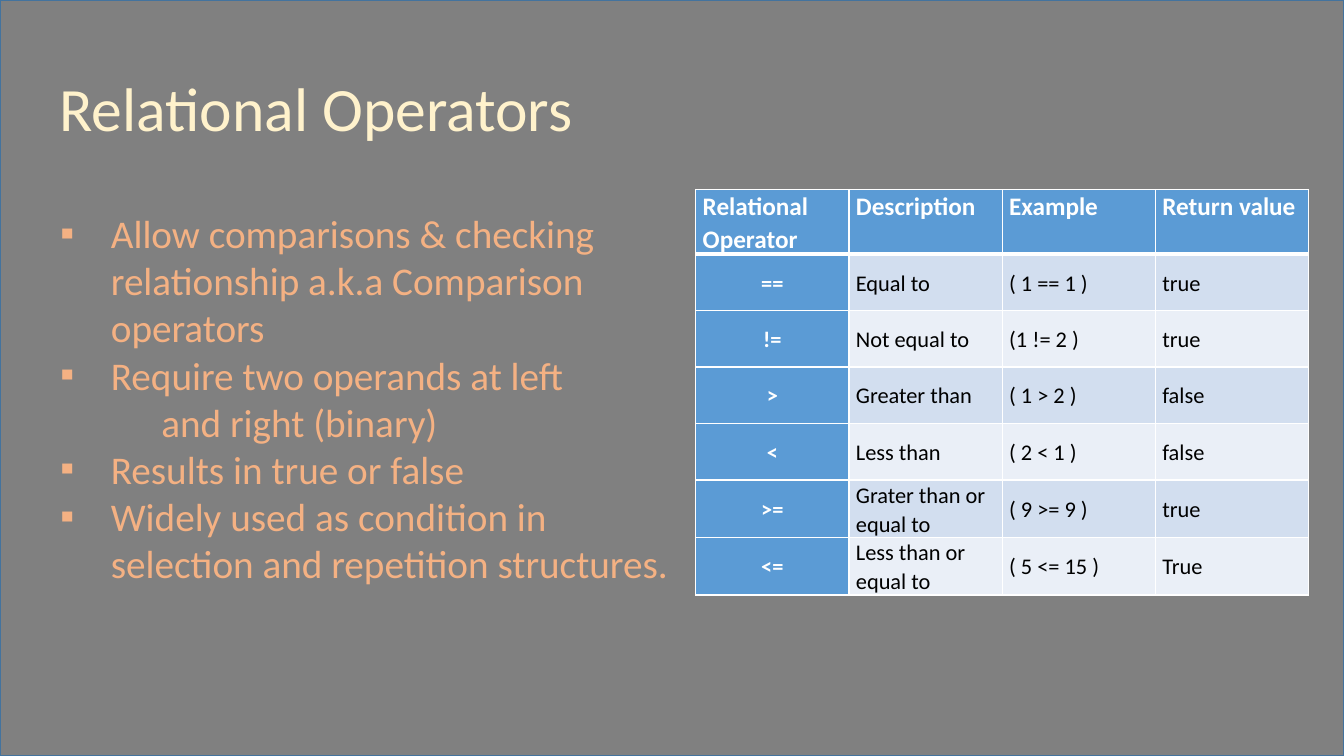
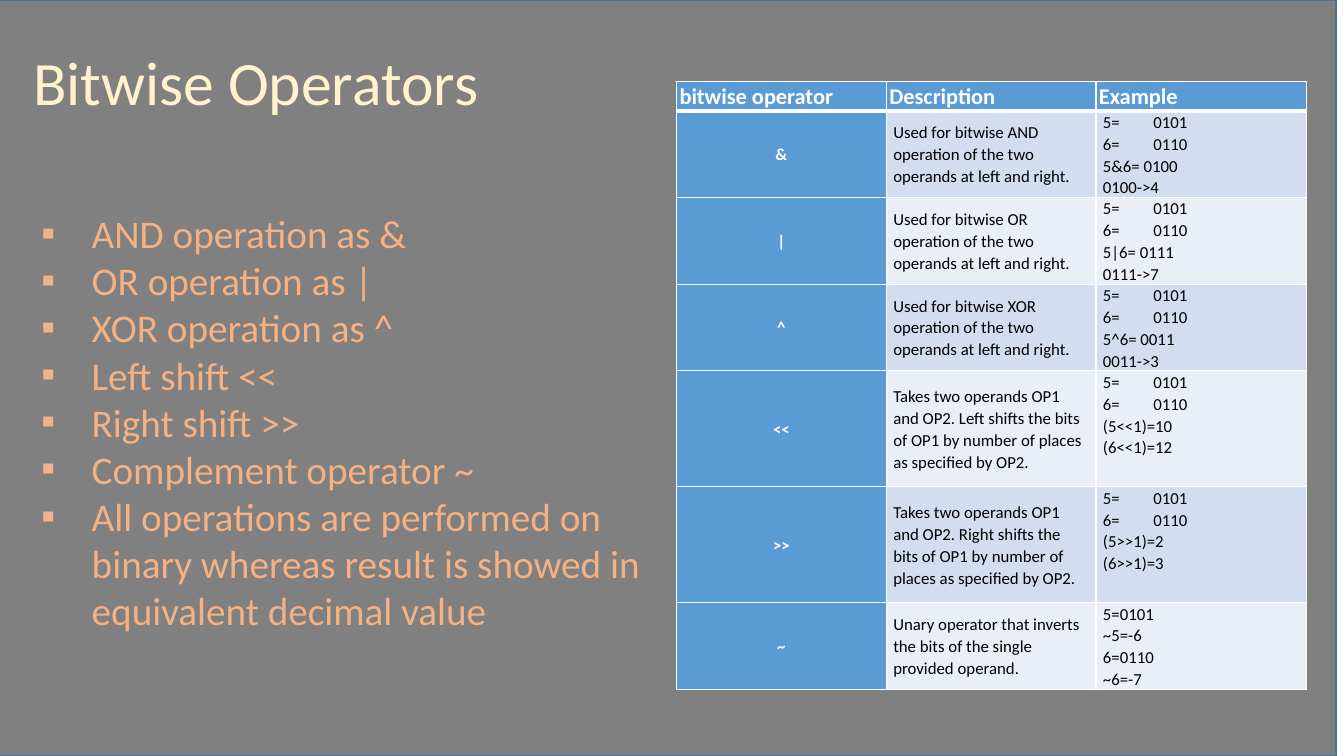
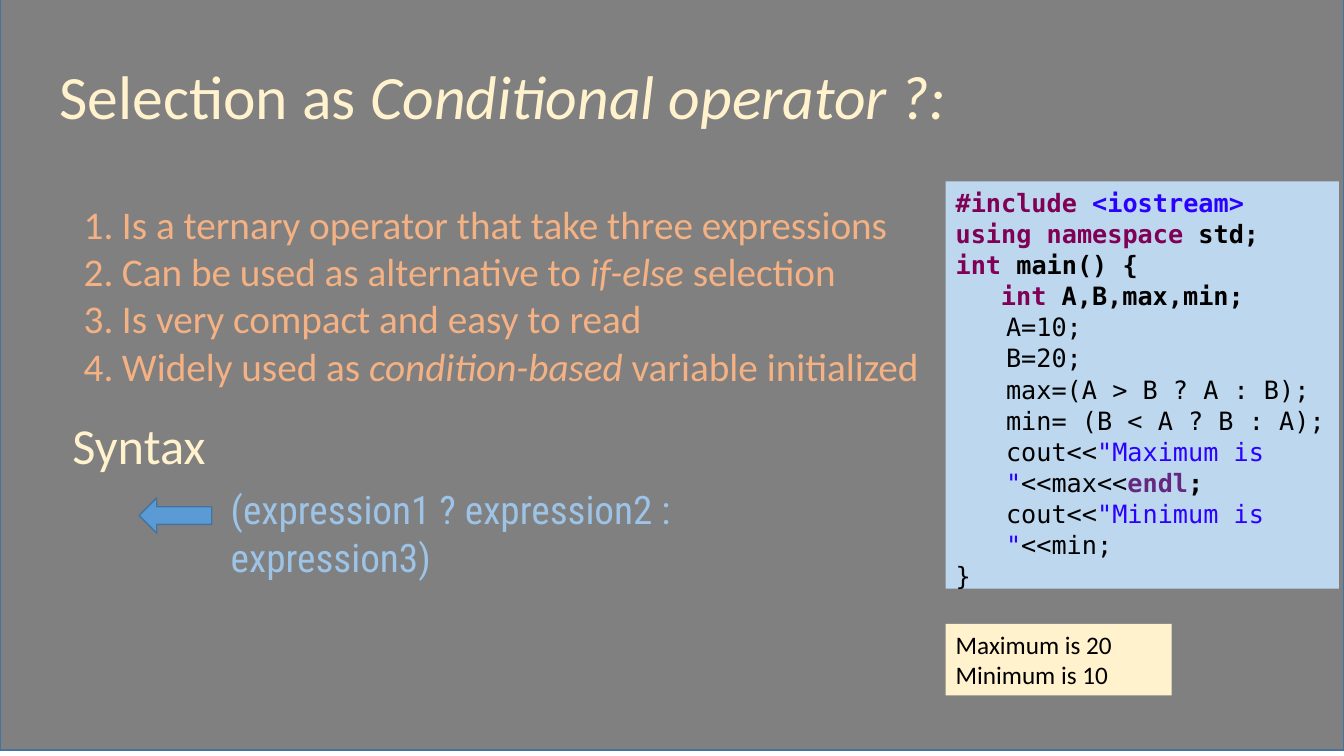
from dataclasses import dataclass
from typing import NamedTuple

from lxml import etree
from pptx import Presentation
from pptx.dml.color import RGBColor
from pptx.enum.shapes import MSO_SHAPE
from pptx.enum.text import MSO_ANCHOR, MSO_AUTO_SIZE, PP_ALIGN
from pptx.oxml.ns import qn
from pptx.util import Emu, Pt

RECT, ARROW = MSO_SHAPE.RECTANGLE, MSO_SHAPE.LEFT_ARROW
TOP, MIDDLE = MSO_ANCHOR.TOP, MSO_ANCHOR.MIDDLE
LEFT, CENTER = PP_ALIGN.LEFT, PP_ALIGN.CENTER
GROW = MSO_AUTO_SIZE.SHAPE_TO_FIT_TEXT

SCALE = 9144  # EMU in one px, 100 px to the inch
WIDE, HIGH = 1333, 750
SANS, MONO, NARROW = "Calibri", "DejaVu Sans Mono", "Roboto Condensed"
COLORS = {
    "back": "808080", "edge": "43739E", "cream": "FFF2CC", "peach": "F4B183",
    "sky": "9DC3E6", "pale": "BDD7EE", "blue": "5B9BD5", "odd": "D2DEEF",
    "even": "EAEFF7", "white": "FFFFFF", "black": "000000",
    "key": "7F0055", "quote": "2A00FF", "const": "642880",
}


class Box(NamedTuple):
    x: int
    y: int
    w: int
    h: int


class Run(NamedTuple):
    text: str
    color: str = ""
    bold: bool = False
    italic: bool = False


class Para(NamedTuple):
    runs: tuple
    left: int = 0
    hang: int = 0
    mark: str = ""


@dataclass
class Grid:
    box: Box
    cols: list[int]
    rows: list[int]
    cells: list[tuple]
    head: int
    size: int
    pad: int


def px(n: int) -> Emu:
    return Emu(n * SCALE)


def rgb(name: str) -> RGBColor:
    return RGBColor.from_string(COLORS[name])


def place(shape, box: Box) -> None:
    shape.left, shape.top, shape.width, shape.height = map(px, box)


def plain(*lines: str) -> list[Para]:
    return [Para((Run(line),)) for line in lines]


def bullet(text: str) -> Para:
    return Para((Run(text),), 100, 50, "▪")


def number(*runs: Run) -> Para:
    return Para(runs, 38, 38, "1.")


def indent(para, item: Para) -> None:
    """Set the indent, the list mark and the tab stop of a paragraph."""
    props = para._p.get_or_add_pPr()
    props.set("marL", str(px(item.left)))
    props.set("indent", str(px(-item.hang)))
    if item.mark == "1.":
        etree.SubElement(props, qn("a:buAutoNum"), type="arabicPeriod")
    elif item.mark:
        etree.SubElement(props, qn("a:buFont"), typeface=SANS)
        etree.SubElement(props, qn("a:buChar"), char=item.mark)
    else:
        etree.SubElement(props, qn("a:buNone"))
    if any("\t" in run.text for run in item.runs):
        tabs = etree.SubElement(props, qn("a:tabLst"))
        etree.SubElement(tabs, qn("a:tab"), pos=str(px(39)), algn="l")


def write(frame, items: list[Para], *, size: int, color: str, font: str = SANS,
          bold: bool = False, align=LEFT, space: float = 1.0) -> None:
    for i, item in enumerate(items):
        para = frame.add_paragraph() if i else frame.paragraphs[0]
        para.alignment, para.line_spacing = align, space
        para.space_before = para.space_after = Pt(0)
        indent(para, item)
        for part in item.runs:
            run = para.add_run()
            run.text = part.text
            style = run.font
            style.name, style.size = font, Pt(size)
            style.bold, style.italic = bold or part.bold, part.italic
            style.color.rgb = rgb(part.color or color)


def fit(frame) -> None:
    frame.word_wrap, frame.auto_size = True, GROW
    frame.vertical_anchor = TOP


def label(slide, box: Box, text: str, **look) -> None:
    shape = slide.shapes.add_textbox(*map(px, box))
    fit(shape.text_frame)
    write(shape.text_frame, plain(text), **look)


def block(slide, kind, box: Box, fill: str, edge: str = ""):
    shape = slide.shapes.add_shape(kind, *map(px, box))
    shape.shadow.inherit = False
    shape.fill.solid()
    shape.fill.fore_color.rgb = rgb(fill)
    if edge:
        shape.line.color.rgb = rgb(edge)
        shape.line.width = Pt(1)
    else:
        shape.line.fill.background()
    return shape


def panel(slide, box: Box, fill: str, items: list[Para], **look) -> None:
    frame = block(slide, RECT, box, fill).text_frame
    fit(frame)
    write(frame, items, size=18, color="black", **look)


def page(deck, back: tuple[int, int], title: Box, head: tuple,
         body: Box, items: list[Para]):
    """Add a slide with grey backdrop, title and list."""
    slide = deck.slides.add_slide(deck.slide_layouts[1])
    rect = block(slide, RECT, Box(*back, WIDE, HIGH), "back", "edge")._element
    rect.getparent().insert(2, rect)
    parts = (
        (slide.shapes.title, title, [Para(head)], 44, "cream"),
        (slide.placeholders[1], body, items, 28, "peach"),
    )
    for shape, box, text, size, color in parts:
        place(shape, box)
        fit(shape.text_frame)
        write(shape.text_frame, text, size=size, color=color)
    return slide


def border(cell, base: int) -> None:
    props = cell._tc.get_or_add_tcPr()
    for side in "LRTB":
        width = Pt(base if side == "B" else 1)
        line = etree.SubElement(props, qn(f"a:ln{side}"), w=str(width))
        fill = etree.SubElement(line, qn("a:solidFill"))
        etree.SubElement(fill, qn("a:srgbClr"), val=COLORS["white"])


def table(slide, grid: Grid) -> None:
    shape = slide.shapes.add_table(len(grid.rows), len(grid.cols),
                                   *map(px, grid.box))
    for col, width in zip(shape.table.columns, grid.cols):
        col.width = px(width)
    for r, (row, high) in enumerate(zip(shape.table.rows, grid.rows)):
        row.height = px(high)
        for c, (cell, text) in enumerate(zip(row.cells, grid.cells[r])):
            top, key = r == 0, r == 0 or c == 0
            border(cell, 3 if top else 1)
            cell.fill.solid()
            band = "odd" if r % 2 else "even"
            cell.fill.fore_color.rgb = rgb("blue" if key else band)
            cell.margin_left = cell.margin_right = px(grid.pad if top else 7)
            cell.margin_top = cell.margin_bottom = 0
            cell.vertical_anchor = TOP if top or "\n" in text else MIDDLE
            write(cell.text_frame, plain(*text.split("\n")),
                  size=grid.head if top else grid.size, bold=key,
                  color="white" if key else "black", space=1.07,
                  align=CENTER if c == 0 and not top else LEFT)


def relate(deck) -> None:
    slide = page(
        deck, (0, 0), Box(49, 64, 738, 84), (Run("Relational Operators"),),
        Box(0, 203, 690, 434), [
            bullet("Allow comparisons & checking relationship a.k.a "
                   "Comparison operators"),
            bullet("Require two operands at left"),
            Para((Run("and right (binary)"),), 150),
            bullet("Results in true or false"),
            bullet("Widely used as condition in selection and repetition "
                   "structures."),
        ])
    table(slide, Grid(
        Box(690, 188, 609, 401), [152] * 4, [61] + [56] * 6, [
            ("Relational Operator", "Description", "Example", "Return value"),
            ("==", "Equal to", "( 1 == 1 )", "true"),
            ("!=", "Not equal to", "(1 != 2 )", "true"),
            (">", "Greater than", "( 1 > 2 )", "false"),
            ("<", "Less than", "( 2 < 1 )", "false"),
            (">=", "Grater than or equal to", "( 9 >= 9 )", "true"),
            ("<=", "Less than or equal to", "( 5 <= 15 )", "True"),
        ], head=18, size=16, pad=7))


def bitwise(deck) -> None:
    lines = ("AND operation as &", "OR operation as |", "XOR operation as ^",
             "Left shift <<", "Right shift >>", "Complement operator ~",
             "All operations are performed on binary whereas result is "
             "showed in equivalent decimal value")
    slide = page(deck, (-8, 0), Box(23, 39, 738, 84),
                 (Run("Bitwise Operators"),), Box(-19, 203, 690, 481),
                 [bullet(line) for line in lines])
    bits = "5=\t0101\n6=\t0110\n"
    logic = [
        (sign, f"Used for bitwise {name} operation of the two operands "
               "at left and right.",
         f"{bits}5{sign}6= {out}\n{out}->{value}")
        for sign, name, out, value in (("&", "AND", "0100", 4),
                                       ("|", "OR", "0111", 7),
                                       ("^", "XOR", "0011", 3))
    ]
    shifts = [
        (sign, f"Takes two operands OP1 and OP2. {side} shifts the bits of "
               "OP1 by number of places as specified by OP2.",
         f"{bits}(5{sign}1)={five}\n(6{sign}1)={six}")
        for sign, side, five, six in (("<<", "Left", 10, 12),
                                      (">>", "Right", 2, 3))
    ]
    table(slide, Grid(
        Box(671, 81, 625, 604), [208, 208, 209],
        [29, 86, 86, 86, 115, 115, 86], [
            ("bitwise operator", "Description", "Example"),
            *logic,
            *shifts,
            ("~", "Unary operator that inverts the bits of the single "
                  "provided operand.", "5=0101\n~5=-6\n6=0110\n~6=-7"),
        ], head=16, size=12, pad=3))


def choose(deck) -> None:
    slide = page(
        deck, (0, -6), Box(49, 52, 952, 84),
        (Run("Selection as "), Run("Conditional operator ?:", italic=True)),
        Box(73, 194, 963, 199), [
            number(Run("Is a ternary operator that take three expressions")),
            number(Run("Can be used as alternative to "),
                   Run("if-else ", italic=True), Run("selection")),
            number(Run("Is very compact and easy to read")),
            number(Run("Widely used as "), Run("condition-based", italic=True),
                   Run(" variable initialized")),
        ])

    # Syntax
    label(slide, Box(219, 477, 562, 57),
          "(expression1 ? expression2 : expression3)",
          size=28, color="sky", font=NARROW)
    block(slide, ARROW, Box(138, 494, 72, 35), "blue", "edge")
    label(slide, Box(62, 406, 223, 71), "Syntax", size=36, color="cream")

    # Program and its output
    def key(text: str) -> Run:
        return Run(text, "key", True)

    def bold(text: str) -> Run:
        return Run(text, bold=True)

    def quote(text: str) -> Run:
        return Run(text, "quote")

    inner = (
        (Run("A=10;"),),
        (Run("B=20;"),),
        (Run("max=(A > B ? A : B);"),),
        (Run("min= (B < A ? B : A);"),),
        (Run("cout<<"), quote('"Maximum is "'), Run("<<max<<"),
         Run("endl", "const", True), bold(";")),
        (Run("cout<<"), quote('"Minimum is "'), Run("<<min;")),
    )
    panel(slide, Box(938, 180, 390, 404), "pale", [
        Para((key("#include "), Run("<iostream>", "quote", True))),
        Para((key("using namespace "), bold("std;"))),
        Para((key("int"), bold(" main() {"))),
        Para((key("int "), bold("A,B,max,min;")), 45),
        *(Para(runs, 50) for runs in inner),
        *plain("}"),
    ], font=MONO, space=1.03)
    panel(slide, Box(938, 619, 224, 71), "cream",
          plain("Maximum is 20", "Minimum is 10"))


def main() -> None:
    deck = Presentation()
    deck.slide_width, deck.slide_height = px(WIDE), px(HIGH)
    for build in (relate, bitwise, choose):
        build(deck)
    deck.save("out.pptx")


if __name__ == "__main__":
    main()
